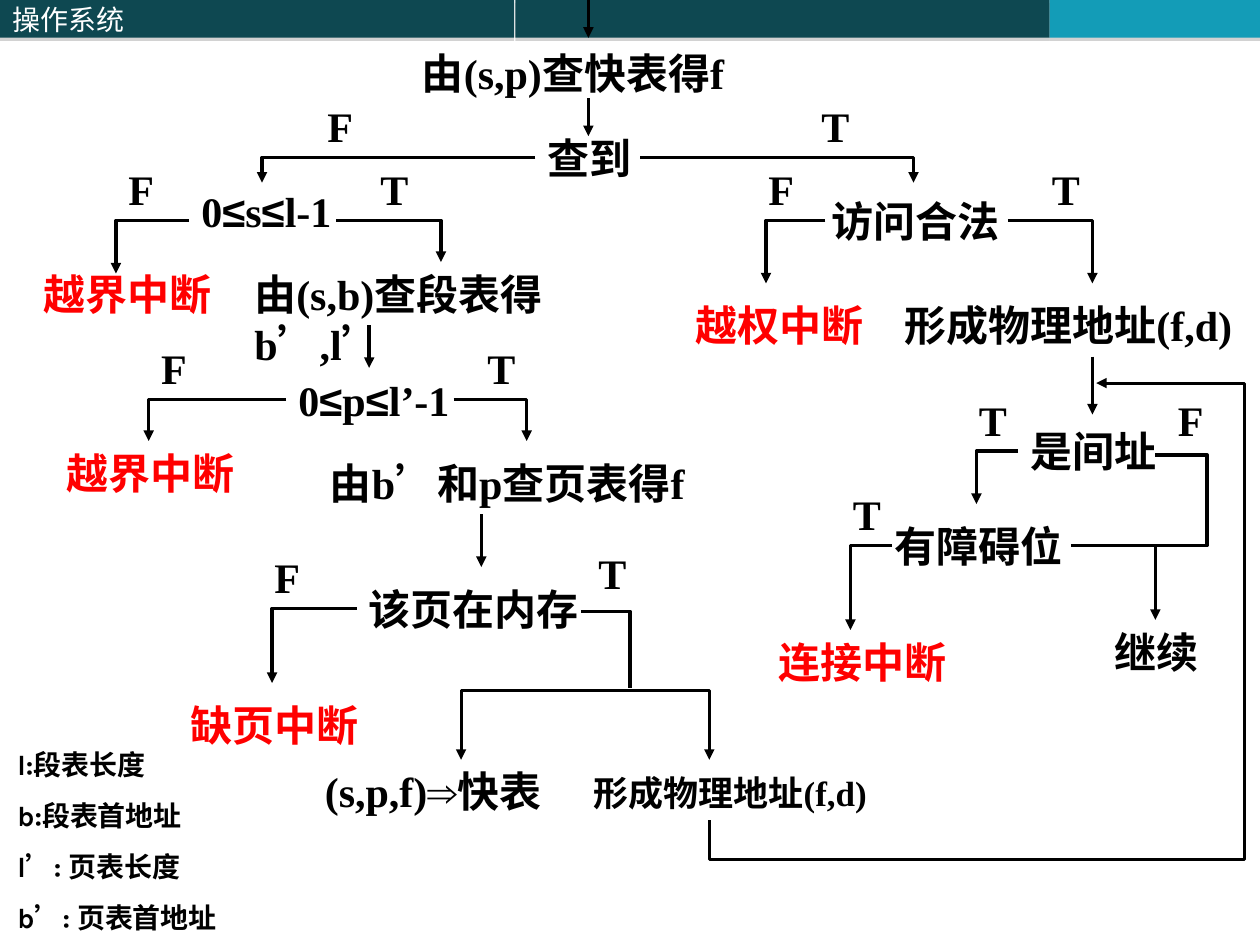
import itertools

import pptx
import pptx.dml.color
import pptx.enum.lang
import pptx.enum.shapes
import pptx.enum.text
import pptx.oxml
import pptx.oxml.ns
import pptx.util
from pptx.util import Inches

BLACK = pptx.dml.color.RGBColor(0, 0, 0)
RED = pptx.dml.color.RGBColor(255, 0, 0)
WHITE = pptx.dml.color.RGBColor(255, 255, 255)
DARK_TEAL = pptx.dml.color.RGBColor(0x0E, 0x48, 0x51)
LIGHT_TEAL = pptx.dml.color.RGBColor(0x13, 0x9C, 0xB7)
NAMESPACE = pptx.oxml.ns.nsdecls("a")
SERIF = "Times New Roman"
CHINESE = "Noto Sans CJK SC"
SYMBOL_FONTS = {"≤": "Arial", "⇒": "Arial", "’": SERIF}
BAR_SHADOW = (
    f'<a:effectLst {NAMESPACE}><a:outerShdw blurRad="0" dist="22860" dir="5400000">'
    '<a:srgbClr val="808080"><a:alpha val="35000"/></a:srgbClr></a:outerShdw></a:effectLst>'
)

HEADER_BARS = [(0, 4.08, DARK_TEAL, "操作系统"), (4.09, 4.24, DARK_TEAL, ""), (8.33, 1.67, LIGHT_TEAL, "")]
STEPS = [
    ("由(s,p)查快表得f", 3.25, 0.33, 2.83),
    ("查到", 4.25, 1, 1.08),
    ("访问合法", 6.5, 1.5, 1.67),
    ("形成物理地址(f,d)", 7.08, 2.33, 3),
    ("是间址", 8.08, 3.33, 1.33),
    ("有障碍位", 7, 4.08, 1.58),
    ("继续", 8.75, 4.92, 0.92),
    ("0≤s≤l-1", 1.5, 1.42, 1.5),
    ("0≤p≤l’-1", 2.27, 2.92, 1.5),
    ("由(s,b)查段表得b’,l’", 1.92, 2.08, 3.17),
    ("由b’和p查页表得f", 2.52, 3.58, 3.17),
    ("该页在内存", 2.83, 4.58, 1.92),
    ("(s,p,f)⇒快表", 2.48, 6.03, 2.05),
]
INTERRUPTS = [
    ("越界中断", 0.25, 2.08, 1.67),
    ("越界中断", 0.43, 3.5, 1.58),
    ("缺页中断", 1.41, 5.5, 1.75),
    ("越权中断", 5.42, 2.33, 2),
    ("连接中断", 6.08, 5, 1.58),
]
BRANCH_LABELS = {
    "T": [(6.42, 0.75), (8.25, 1.25), (7.67, 3.08), (6.67, 3.83), (2.92, 1.25), (3.77, 2.67), (4.65, 4.3)],
    "F": [(2.5, 0.75), (6, 1.25), (9.25, 3.08), (0.92, 1.25), (1.18, 2.67), (2.08, 4.33)],
}
LEGEND = ["l:段表长度", "b:段表首地址", "l’: 页表长度", "b’: 页表首地址"]
DOWN_ARROWS = [(4.67, 0, 0.3), (4.67, 0.78, 1.08), (8.67, 2.83, 3.29), (2.93, 2.58, 2.92), (3.82, 4.08, 4.5)]
BRANCHES = [
    (5.08, 1.25, 7.25, 1.45),
    (4.25, 1.25, 2.08, 1.45),
    (8, 1.75, 8.67, 2.25),
    (6.55, 1.75, 6.08, 2.25),
    (8.08, 3.58, 7.75, 4),
    (8.5, 4.33, 9.17, 4.92),
    (7.08, 4.33, 6.75, 5),
    (1.5, 1.75, 0.92, 2.17),
    (2.67, 1.75, 3.5, 2.08),
    (2.27, 3.17, 1.18, 3.5),
    (3.6, 3.17, 4.18, 3.5),
    (2.83, 4.83, 2.16, 5.42),
]
ROUTES = [
    ([(9.17, 3.61), (9.58, 3.61), (9.58, 4.33), (9.17, 4.33)], 2, ()),
    ([(4.61, 4.85), (5, 4.85), (5, 5.46)], 1.75, ()),
    ([(3.66, 6.03), (3.66, 5.48), (5.63, 5.48), (5.63, 6.03)], 1.75, ("headEnd", "tailEnd")),
    ([(5.63, 6.51), (5.63, 6.82), (9.88, 6.82), (9.88, 3.04), (8.7, 3.04)], 1.75, ("tailEnd",)),
]


def add_runs(paragraph, text, name, size, color, bold=True):
    """Add text as runs, giving symbols their own font."""
    for font_name, letters in itertools.groupby(text, lambda letter: SYMBOL_FONTS.get(letter, name)):
        run = paragraph.add_run()
        run.text = "".join(letters)
        values = {
            "name": font_name,
            "size": pptx.util.Pt(size),
            "bold": bold,
            "language_id": pptx.enum.lang.MSO_LANGUAGE_ID.SIMPLIFIED_CHINESE,
        }
        for key, value in values.items():
            setattr(run.font, key, value)
        run.font.color.rgb = color
        east_asian = pptx.oxml.parse_xml(f'<a:ea {NAMESPACE} typeface="{CHINESE}"/>')
        run.font._element.find(pptx.oxml.ns.qn("a:latin")).addnext(east_asian)


def add_bar(slide, left, width, color, text):
    """Add one segment of the header bar."""
    shape = slide.shapes.add_shape(
        pptx.enum.shapes.MSO_SHAPE.RECTANGLE, Inches(left), 0, Inches(width), Inches(0.3)
    )
    shape.fill.solid()
    shape.fill.fore_color.rgb = color
    shape.line.fill.background()
    shape._element.spPr.append(pptx.oxml.parse_xml(BAR_SHADOW))
    if text:
        paragraph = shape.text_frame.paragraphs[0]
        paragraph.alignment = pptx.enum.text.PP_ALIGN.LEFT
        add_runs(paragraph, text, CHINESE, 16, WHITE, False)


def add_text(slide, lines, left, top, width, height=0.5, name=SERIF, size=24, color=BLACK):
    """Add a wrapping text box with one paragraph per line."""
    box = slide.shapes.add_textbox(Inches(left), Inches(top), Inches(width), Inches(height))
    frame = box.text_frame
    values = {"word_wrap": True, "auto_size": pptx.enum.text.MSO_AUTO_SIZE.SHAPE_TO_FIT_TEXT}
    for key, value in values.items():
        setattr(frame, key, value)
    for index, line in enumerate(lines):
        paragraph = frame.add_paragraph() if index else frame.paragraphs[0]
        if index:
            paragraph.space_before = pptx.util.Pt(10)
        add_runs(paragraph, line, name, size, color)


def format_line(shape, width, ends):
    """Draw a black line with triangles at the named ends."""
    shape.line.color.rgb = BLACK
    shape.line.width = pptx.util.Pt(width)
    for end in ends:
        shape.line._get_or_add_ln().append(pptx.oxml.parse_xml(f'<a:{end} {NAMESPACE} type="triangle"/>'))


def add_down_arrow(slide, x, top, bottom):
    """Add a straight downward arrow."""
    connector = slide.shapes.add_connector(
        pptx.enum.shapes.MSO_CONNECTOR.STRAIGHT, Inches(x), Inches(top), Inches(x), Inches(bottom)
    )
    format_line(connector, 2, ("tailEnd",))
    connector._element.spPr.append(pptx.oxml.parse_xml(f"<a:effectLst {NAMESPACE}/>"))


def add_route(slide, points, width=2, ends=("tailEnd",)):
    """Add an open bent line through the points."""
    start, *others = [(Inches(x), Inches(y)) for x, y in points]
    builder = slide.shapes.build_freeform(*start)
    builder.add_line_segments(others, close=False)
    shape = builder.convert_to_shape()
    shape.fill.background()
    shape.shadow.inherit = False
    format_line(shape, width, ends)


def main():
    """Build the address translation flowchart."""
    presentation = pptx.Presentation()
    presentation.slide_width, presentation.slide_height = Inches(10), Inches(7.5)
    slide = presentation.slides.add_slide(presentation.slide_layouts[6])
    for bar in HEADER_BARS:
        add_bar(slide, *bar)
    for color, entries in ((BLACK, STEPS), (RED, INTERRUPTS)):
        for text, left, top, width in entries:
            add_text(slide, [text], left, top, width, color=color)
    for label, places in BRANCH_LABELS.items():
        for left, top in places:
            add_text(slide, [label], left, top, 0.5)
    add_text(slide, ["形成物理地址(f,d)"], 4.61, 6.07, 2.44, 0.44, size=20)
    add_text(slide, LEGEND, 0.04, 5.88, 2.05, 1.59, name="Karla", size=16)
    for arrow in DOWN_ARROWS:
        add_down_arrow(slide, *arrow)
    for start_x, start_y, end_x, end_y in BRANCHES:
        add_route(slide, [(start_x, start_y), (end_x, start_y), (end_x, end_y)])
    for route in ROUTES:
        add_route(slide, *route)
    presentation.save("out.pptx")


if __name__ == "__main__":
    main()
